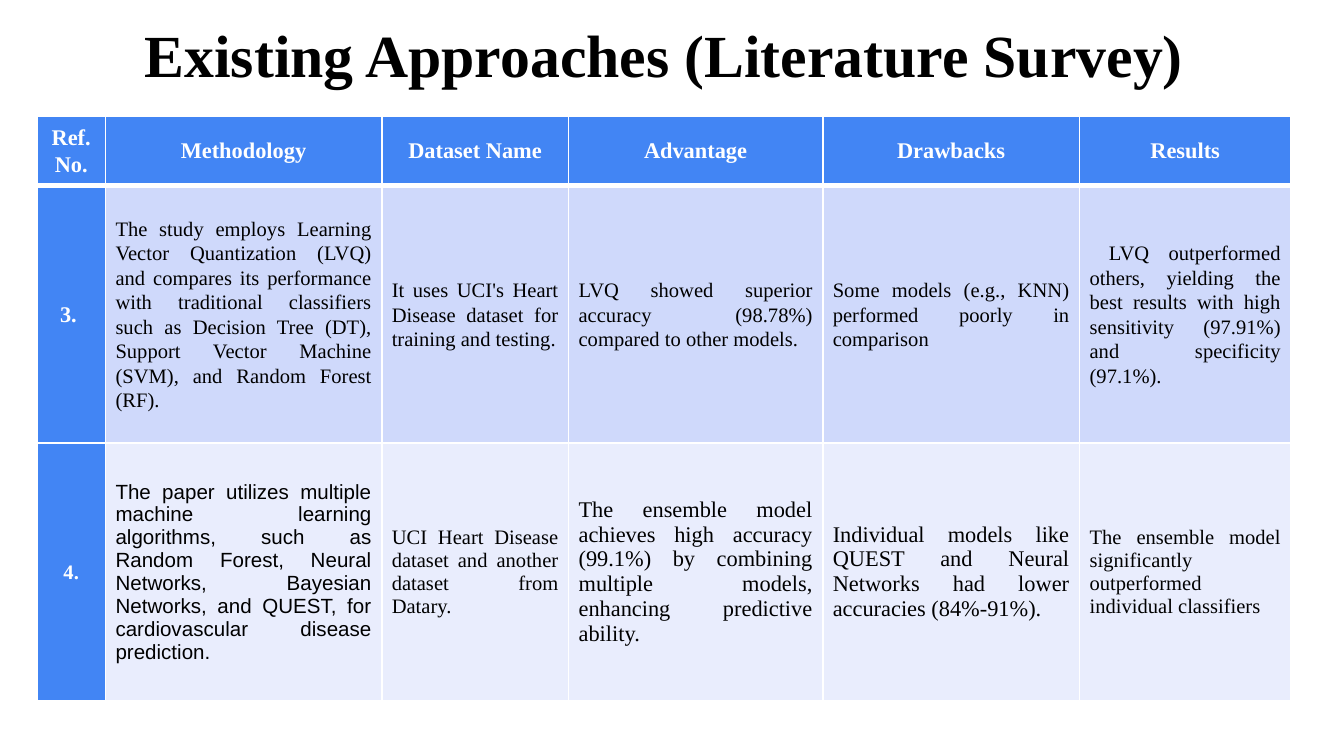
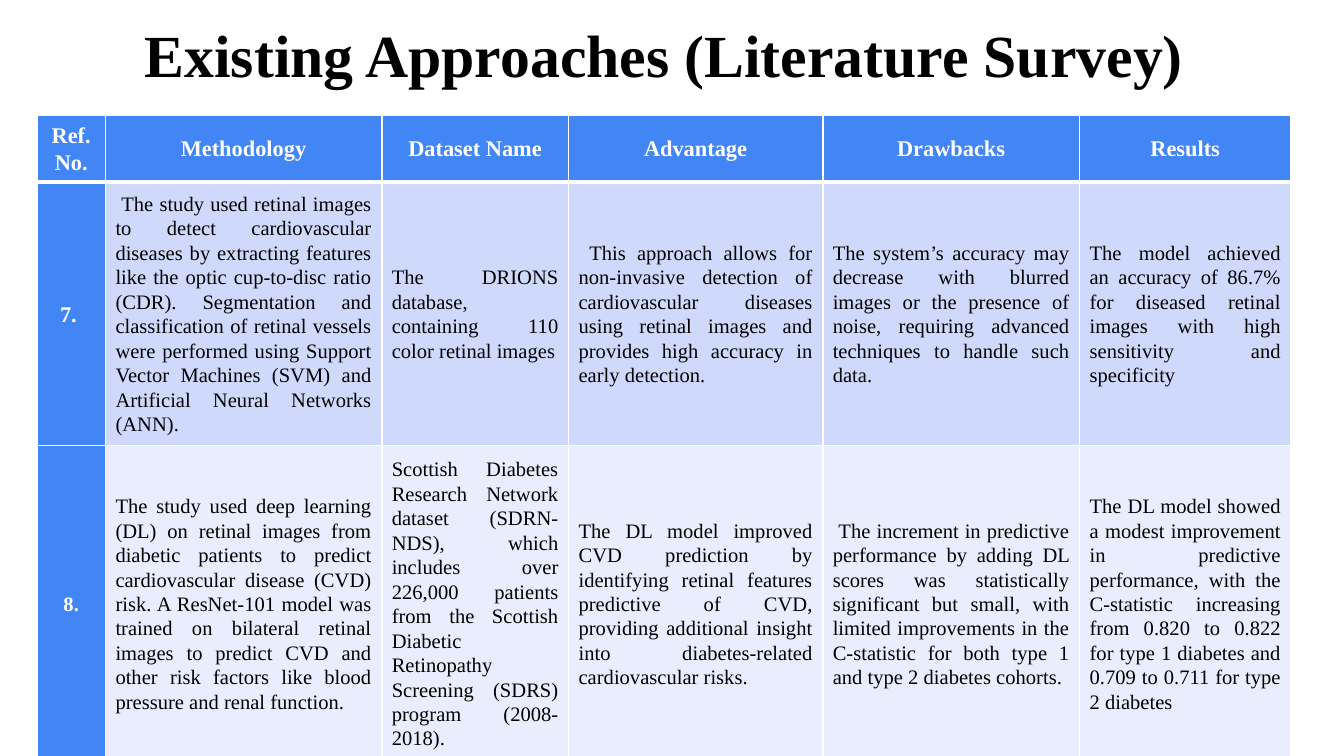
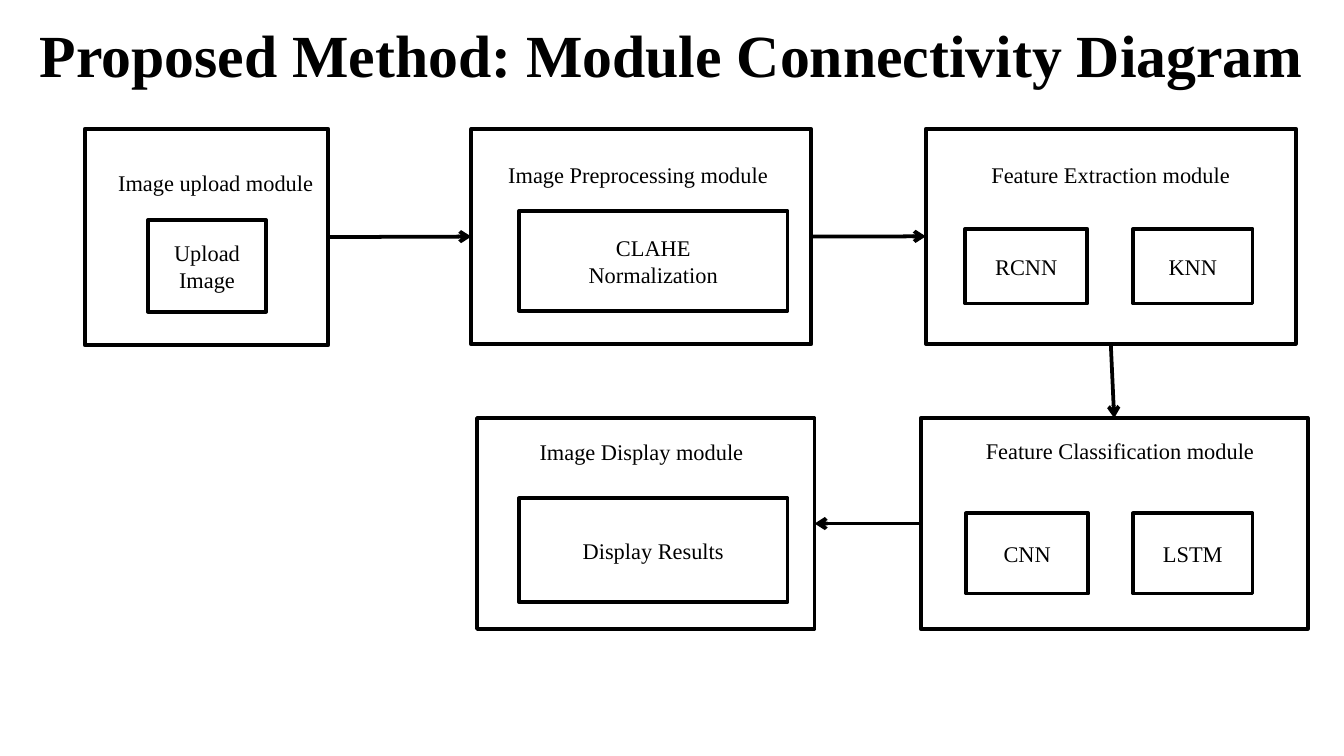
from dataclasses import dataclass

from lxml import etree
from pptx import Presentation
from pptx import util as u
from pptx.dml import color
from pptx.enum import shapes, text
from pptx.oxml import ns

Pt = u.Pt
ALIGN = text.PP_ALIGN
ANCHOR = text.MSO_ANCHOR


@dataclass(frozen=True)
class Theme:
    ink: str = "000000"
    paper: str = "FFFFFF"
    header: str = "4285F4"
    bands: tuple = ("CFD9FB", "E9EDFD")
    font: str = "Times New Roman"
    title_size: float = 32
    label_size: float = 12
    body_size: float = 11
    outline: float = 2
    grid: float = 1
    header_rule: float = 3
    table_spacing: float = 1.07


# Survey tables
SURVEY_TITLE = "Existing Approaches (Literature Survey) "
COLUMN_WIDTHS = (36.7, 148, 100.1, 136.2, 137.6, 113.2)
HEADERS = ("Ref. No.", "Methodology", "Dataset Name", "Advantage", "Drawbacks", "Results")
BIG = {"size": 12, "spacing": 1}
SMALL = {"size": 11, "spacing": 1}

# Each survey: top, row heights, rows, formats of single cells by (row, column)
SURVEYS = (
    (62, (37.4, 138, 138), (
        ("3. ",
         "The study employs Learning Vector Quantization (LVQ) and compares its performance with "
         "traditional classifiers such as Decision Tree (DT), Support Vector Machine (SVM), and "
         "Random Forest (RF). ",
         "It uses UCI's Heart Disease dataset for training and testing.",
         "LVQ showed superior accuracy (98.78%) compared to other models.",
         "Some models (e.g., KNN) performed poorly in comparison",
         " LVQ outperformed others, yielding the best results with high sensitivity (97.91%) and "
         "specificity (97.1%)."),
        ("4.",
         "The paper utilizes multiple machine learning algorithms, such as Random Forest, Neural "
         "Networks, Bayesian Networks, and QUEST, for cardiovascular disease prediction. ",
         "UCI Heart Disease dataset and another dataset from Datary.",
         "The ensemble model achieves high accuracy (99.1%) by combining multiple models, "
         "enhancing predictive ability.",
         "Individual models like QUEST and Neural Networks had lower accuracies (84%-91%).",
         "The ensemble model significantly outperformed individual classifiers"),
    ), {(2, 1): {"name": "Arial", **SMALL}, (2, 2): SMALL, (2, 3): BIG, (2, 4): BIG, (2, 5): SMALL}),
    (61.5, (36, 141, 169.2), (
        ("7. ",
         " The study used retinal images to detect cardiovascular diseases by extracting features "
         "like the optic cup-to-disc ratio (CDR). Segmentation and classification of retinal "
         "vessels were performed using Support Vector Machines (SVM) and Artificial Neural "
         "Networks (ANN).",
         "The DRIONS database, containing 110 color retinal images",
         " This approach allows for non-invasive detection of cardiovascular diseases using "
         "retinal images and provides high accuracy in early detection.",
         "The system’s accuracy may decrease with blurred images or the presence of noise, "
         "requiring advanced techniques to handle such data.",
         "The model achieved an accuracy of 86.7% for diseased retinal images with high "
         "sensitivity and specificity"),
        ("8.",
         "The study used deep learning (DL) on retinal images from diabetic patients to predict "
         "cardiovascular disease (CVD) risk. A ResNet-101 model was trained on bilateral retinal "
         "images to predict CVD and other risk factors like blood pressure and renal function.",
         "Scottish Diabetes Research Network dataset (SDRN-NDS), which includes over 226,000 "
         "patients from the Scottish Diabetic Retinopathy Screening (SDRS) program (2008-2018).",
         "The DL model improved CVD prediction by identifying retinal features predictive of CVD, "
         "providing additional insight into diabetes-related cardiovascular risks.",
         " The increment in predictive performance by adding DL scores was statistically "
         "significant but small, with limited improvements in the C-statistic for both type 1 and "
         "type 2 diabetes cohorts.",
         "The DL model showed a modest improvement in predictive performance, with the C-statistic "
         "increasing from 0.820 to 0.822 for type 1 diabetes and 0.709 to 0.711 for type 2 diabetes"),
    ), {}),
)

# Modules: name, frame, label, label box, label indent, inner blocks
MODULES = (
    ("upload", (45.4, 69, 130.5, 116), "Image upload module", (38.2, 87.1, 180, 31), 18,
     (("Upload\nImage", (79.2, 118, 63.4, 49)),)),
    ("preprocessing", (252.5, 69, 182, 115.5), "Image Preprocessing module",
     (241.2, 82.8, 224, 19.5), 24,
     (("CLAHE\nNormalization", (278, 113.2, 144, 53.3)),)),
    ("extraction", (496, 69, 198.2, 115.3), "Feature Extraction module",
     (506, 83, 178.6, 30), 18,
     (("RCNN", (517, 122.6, 65.5, 40)), ("KNN", (607, 122.6, 64, 40)))),
    ("classification", (493.2, 224, 207.4, 113), "Feature Classification module",
     (506, 230.4, 186.5, 31.7), 15,
     (("CNN", (517.5, 275, 65.5, 43)), ("LSTM", (607, 275, 64, 43)))),
    ("display", (255.6, 224, 180.8, 113), "Image Display module",
     (267, 231.3, 163.5, 21.6), 15,
     (("Display Results", (278, 267, 144, 55.5)),)),
)
TOP, LEFT, BOTTOM, RIGHT = range(4)
FLOW = (
    ("upload", RIGHT, "preprocessing", LEFT),
    ("preprocessing", RIGHT, "extraction", LEFT),
    ("extraction", BOTTOM, "classification", TOP),
    ("classification", LEFT, "display", RIGHT),
)


def points(values):
    return [Pt(value) for value in values]


def assign(target, **values):
    for name, value in values.items():
        setattr(target, name, value)


class Deck:
    def __init__(self, theme):
        self.theme = theme
        self.presentation = Presentation()
        assign(self.presentation, slide_width=Pt(720), slide_height=Pt(405))
        self.slide = None

    def set_text(self, frame, content, align, size, ink=None, bold=False, name=None, spacing=None):
        frame.word_wrap = True
        frame.text = content
        for paragraph in frame.paragraphs:
            assign(paragraph, alignment=align, line_spacing=spacing)
            assign(paragraph.font, name=name or self.theme.font, size=Pt(size), bold=bold)
            paragraph.font.color.rgb = color.RGBColor.from_string(ink or self.theme.ink)

    def paint(self, fill, shade):
        fill.solid()
        fill.fore_color.rgb = color.RGBColor.from_string(shade)

    def outline(self, line):
        line.width = Pt(self.theme.outline)
        self.paint(line.fill, self.theme.ink)

    def new_slide(self, title):
        self.slide = self.presentation.slides.add_slide(self.presentation.slide_layouts[6])
        frame = self.slide.shapes.add_textbox(*points((0, -0.7, 720, 62.6))).text_frame
        assign(frame, margin_left=Pt(7.2), margin_right=Pt(7.2), margin_top=Pt(10))
        self.set_text(frame, title, ALIGN.CENTER, self.theme.title_size, bold=True)

    def label(self, content, box, indent):
        frame = self.slide.shapes.add_textbox(*points(box)).text_frame
        self.set_text(frame, content, ALIGN.LEFT, self.theme.label_size)
        frame.paragraphs[0]._p.get_or_add_pPr().set("marL", str(Pt(indent)))

    def block(self, box, content=""):
        shape = self.slide.shapes.add_shape(shapes.MSO_SHAPE.RECTANGLE, *points(box))
        shape.shadow.inherit = False
        self.paint(shape.fill, self.theme.paper)
        self.outline(shape.line)
        if content:
            shape.text_frame.vertical_anchor = ANCHOR.MIDDLE
            self.set_text(shape.text_frame, content, ALIGN.CENTER, self.theme.label_size)
        return shape

    def arrow(self, start, start_side, end, end_side):
        connector = self.slide.shapes.add_connector(shapes.MSO_CONNECTOR.STRAIGHT, 0, 0, 0, 0)
        connector.begin_connect(start, start_side)
        connector.end_connect(end, end_side)
        self.outline(connector.line)
        etree.SubElement(connector.line._get_or_add_ln(), ns.qn("a:tailEnd"), type="arrow")
        etree.SubElement(connector._element.spPr, ns.qn("a:effectLst"))

    def borders(self, cell, bottom):
        properties = cell._tc.get_or_add_tcPr()
        grid = self.theme.grid
        widths = {"a:lnL": grid, "a:lnR": grid, "a:lnT": grid, "a:lnB": bottom}
        for index, (tag, width) in enumerate(widths.items()):
            line = etree.Element(ns.qn(tag), w=str(Pt(width)))
            fill = etree.SubElement(line, ns.qn("a:solidFill"))
            etree.SubElement(fill, ns.qn("a:srgbClr"), val=self.theme.paper)
            properties.insert(index, line)

    def table(self, top, heights, rows, formats):
        theme = self.theme
        box = points((19.8, top, sum(COLUMN_WIDTHS), sum(heights)))
        table = self.slide.shapes.add_table(len(rows), len(COLUMN_WIDTHS), *box).table
        assign(table, first_row=False, horz_banding=False)
        for column, width in zip(table.columns, COLUMN_WIDTHS):
            column.width = Pt(width)
        for r, (row, height) in enumerate(zip(rows, heights)):
            table.rows[r].height = Pt(height)
            for c, content in enumerate(row):
                cell = table.cell(r, c)
                strong = r == 0 or c == 0
                assign(cell, margin_left=Pt(5.4), margin_right=Pt(5.4), margin_top=0,
                       margin_bottom=0, vertical_anchor=ANCHOR.MIDDLE)
                self.paint(cell.fill, theme.header if strong else theme.bands[r - 1])
                self.borders(cell, theme.grid if r else theme.header_rule)
                style = {
                    "align": ALIGN.CENTER if strong else ALIGN.JUSTIFY,
                    "size": theme.label_size if strong and r < 2 else theme.body_size,
                    "ink": theme.paper if strong else theme.ink,
                    "bold": strong,
                    "spacing": theme.table_spacing,
                }
                self.set_text(cell.text_frame, content, **{**style, **formats.get((r, c), {})})


def main():
    deck = Deck(Theme())

    # Literature survey
    for top, heights, rows, formats in SURVEYS:
        deck.new_slide(SURVEY_TITLE)
        deck.table(top, heights, (HEADERS, *rows), formats)

    # Module diagram
    deck.new_slide("Proposed Method: Module Connectivity Diagram")
    frames = {}
    for name, frame, label, label_box, indent, blocks in MODULES:
        frames[name] = deck.block(frame)
        deck.label(label, label_box, indent)
        for content, box in blocks:
            deck.block(box, content)
    for start, start_side, end, end_side in FLOW:
        deck.arrow(frames[start], start_side, frames[end], end_side)

    deck.presentation.save("out.pptx")


if __name__ == "__main__":
    main()
